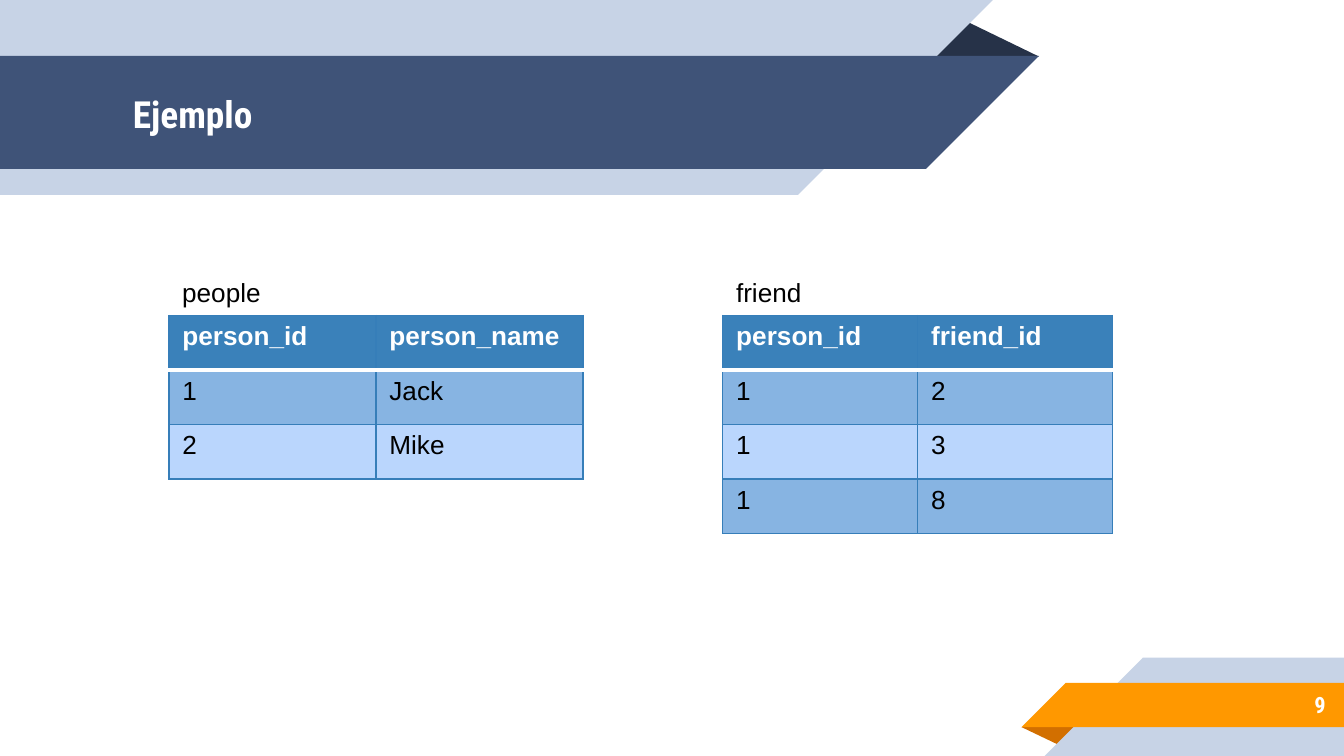
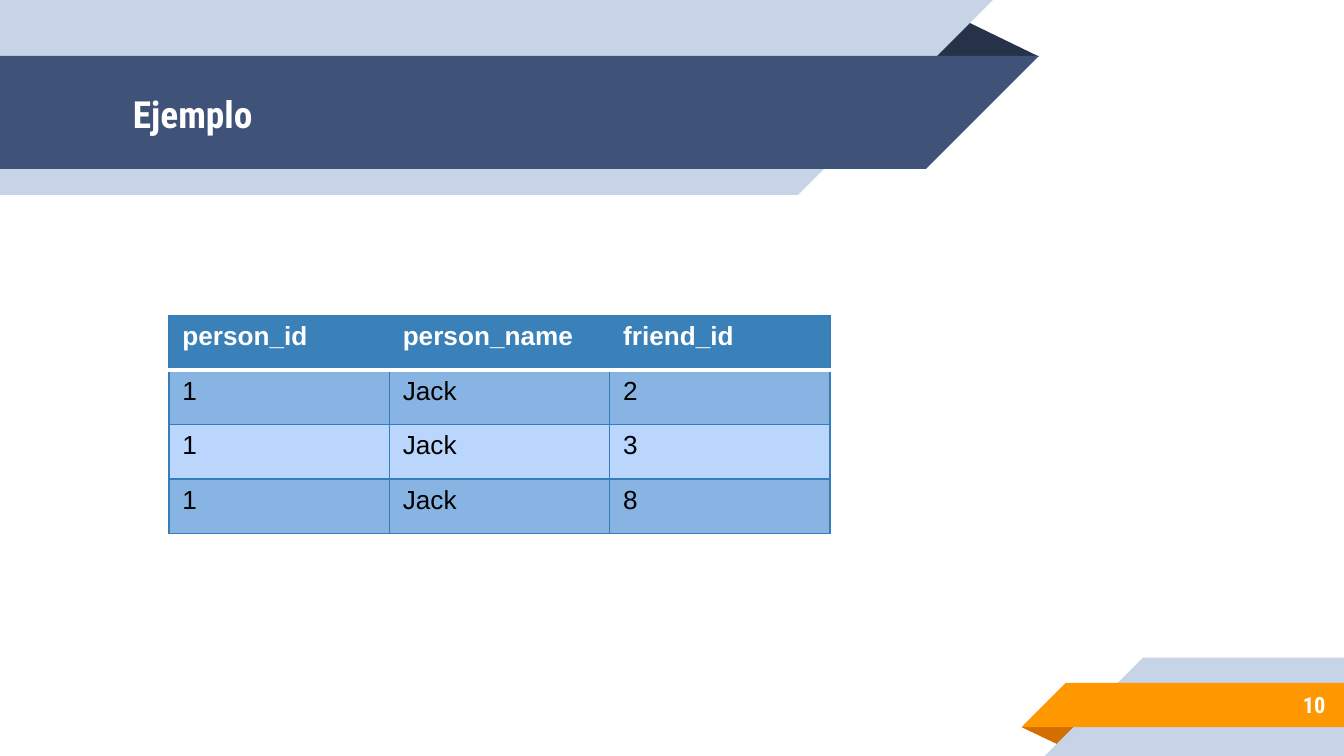
from dataclasses import dataclass

from lxml import etree
from pptx import Presentation
from pptx.dml.color import RGBColor
from pptx.enum.shapes import MSO_SHAPE
from pptx.enum.text import MSO_ANCHOR, MSO_AUTO_SIZE, PP_ALIGN
from pptx.oxml.ns import qn
from pptx.util import Pt

RECT = MSO_SHAPE.RECTANGLE
TRIANGLE = MSO_SHAPE.ISOSCELES_TRIANGLE
CORNER = MSO_SHAPE.RIGHT_TRIANGLE
MIDDLE = MSO_ANCHOR.MIDDLE
LEFT, RIGHT = PP_ALIGN.LEFT, PP_ALIGN.RIGHT
FIT_SHAPE = MSO_AUTO_SIZE.SHAPE_TO_FIT_TEXT


@dataclass(frozen=True)
class Theme:
    pale: str = "C7D3E6"
    navy: str = "3F5378"
    dark_navy: str = "263248"
    orange: str = "FF9800"
    dark_orange: str = "D26F00"
    white: str = "FFFFFF"
    black: str = "000000"
    header: str = "3A81BA"
    odd_row: str = "87B4E2"
    even_row: str = "BAD6FD"
    border: str = "367EB9"
    heading_font: str = "Roboto Condensed"
    body_font: str = "Arial"
    title_size: int = 20
    body_size: int = 14
    number_size: int = 12


theme = Theme()
WIDTH, HEIGHT = 720, 405
ROW_HEIGHT = 29.2
TABLE_TOP = 169
LABEL_TOP = 144.7
LABEL_WIDTH = 60

# Ribbon folds: left, top, width, height, rotation, colour
top_fold = (TRIANGLE, 495.4, 10.1, 61.2, 20.2, 0, theme.dark_navy)
bottom_fold = (TRIANGLE, 547.2, 389.5, 31, 10.1, 180, theme.dark_orange)
decor = [top_fold]
# Title bands run from the left edge and end in a slanted corner
for end, top, h, color in [(427.5, 0, 104.4, theme.pale), (496.1, 30, 60.5, theme.navy)]:
    decor += [(RECT, 0, top, end, h, 0, color), (CORNER, end, top, h, h, 90, color)]
decor.append(bottom_fold)
# Footer bands start with a slanted corner and run to the right edge
for start, top, h, color in [(612.3, 352.3, 52.7, theme.pale), (571, 365.8, 23.8, theme.orange)]:
    decor += [(RECT, start, top, WIDTH - start, h, 0, color),
              (CORNER, start - h, top, h, h, 270, color)]

# Each table: label, left, width, rows
slides = [
    ("Ejemplo", 9, [
        ("people", 90.5, 221.8,
         [("person_id", "person_name"), ("1", "Jack"), ("2", "Mike")]),
        ("friend", 387.2, 208.8,
         [("person_id", "friend_id"), ("1", "2"), ("1", "3"), ("1", "8")]),
    ]),
    ("Ejemplo", 10, [
        (None, 90.5, 354.2,
         [("person_id", "person_name", "friend_id"),
          ("1", "Jack", "2"), ("1", "Jack", "3"), ("1", "Jack", "8")]),
    ]),
]


def write(tf, text, font, size, color, bold=False, align=LEFT):
    tf.text = text
    p = tf.paragraphs[0]
    p.alignment = align
    f = p.runs[0].font
    f.name, f.size, f.bold = font, Pt(size), bold
    f.color.rgb = RGBColor.from_string(color)


def add_border(cell, side, color, width):
    """Outline one side (L, R, T or B) of a cell; call before filling the cell."""
    tc_pr = cell._tc.get_or_add_tcPr()
    ln = etree.SubElement(tc_pr, qn("a:ln" + side), w=str(Pt(width)))
    fill = etree.SubElement(ln, qn("a:solidFill"))
    etree.SubElement(fill, qn("a:srgbClr"), val=color)


prs = Presentation()
prs.slide_width, prs.slide_height = Pt(WIDTH), Pt(HEIGHT)

for title, number, tables in slides:
    slide = prs.slides.add_slide(prs.slide_layouts[6])

    for kind, left, top, w, h, rotation, color in decor:
        s = slide.shapes.add_shape(kind, Pt(left), Pt(top), Pt(w), Pt(h))
        if kind == TRIANGLE:
            s.adjustments[0] = 0.32
        s.rotation = rotation
        s.shadow.inherit = False
        s.fill.solid()
        s.fill.fore_color.rgb = RGBColor.from_string(color)
        s.line.fill.background()

    for text, left, top, w, h, size, align in [
        (title, 64.1, 30.6, 432.7, 60.5, theme.title_size, LEFT),
        (str(number), 599.8, 365, 117.4, 25.2, theme.number_size, RIGHT),
    ]:
        tf = slide.shapes.add_textbox(Pt(left), Pt(top), Pt(w), Pt(h)).text_frame
        tf.word_wrap = True
        tf.vertical_anchor = MIDDLE
        tf.margin_top = tf.margin_bottom = Pt(7.2)
        write(tf, text, theme.heading_font, size, theme.white, True, align)

    for label, left, width, rows in tables:
        n_rows, n_cols = len(rows), len(rows[0])
        table = slide.shapes.add_table(n_rows, n_cols, Pt(left), Pt(TABLE_TOP),
                                       Pt(width), Pt(n_rows * ROW_HEIGHT)).table
        for col in table.columns:
            col.width = Pt(width / n_cols)
        for i, row in enumerate(rows):
            table.rows[i].height = Pt(ROW_HEIGHT)
            is_header = i == 0
            fill = theme.header if is_header else theme.odd_row if i % 2 else theme.even_row
            color = theme.white if is_header else theme.black
            # A thick white rule separates the header from the body
            rule_side = {0: "B", 1: "T"}.get(i)
            for j, text in enumerate(row):
                cell = table.cell(i, j)
                write(cell.text_frame, text, theme.body_font, theme.body_size, color, is_header)
                for side in "LRTB":
                    if side == rule_side:
                        add_border(cell, side, theme.white, 2)
                    else:
                        add_border(cell, side, theme.border, 0.75)
                cell.fill.solid()
                cell.fill.fore_color.rgb = RGBColor.from_string(fill)

        if label:
            box = slide.shapes.add_textbox(Pt(left), Pt(LABEL_TOP), Pt(LABEL_WIDTH), Pt(24.5))
            tf = box.text_frame
            tf.word_wrap = False
            tf.auto_size = FIT_SHAPE
            write(tf, label, theme.body_font, theme.body_size, theme.black)

prs.save("out.pptx")
